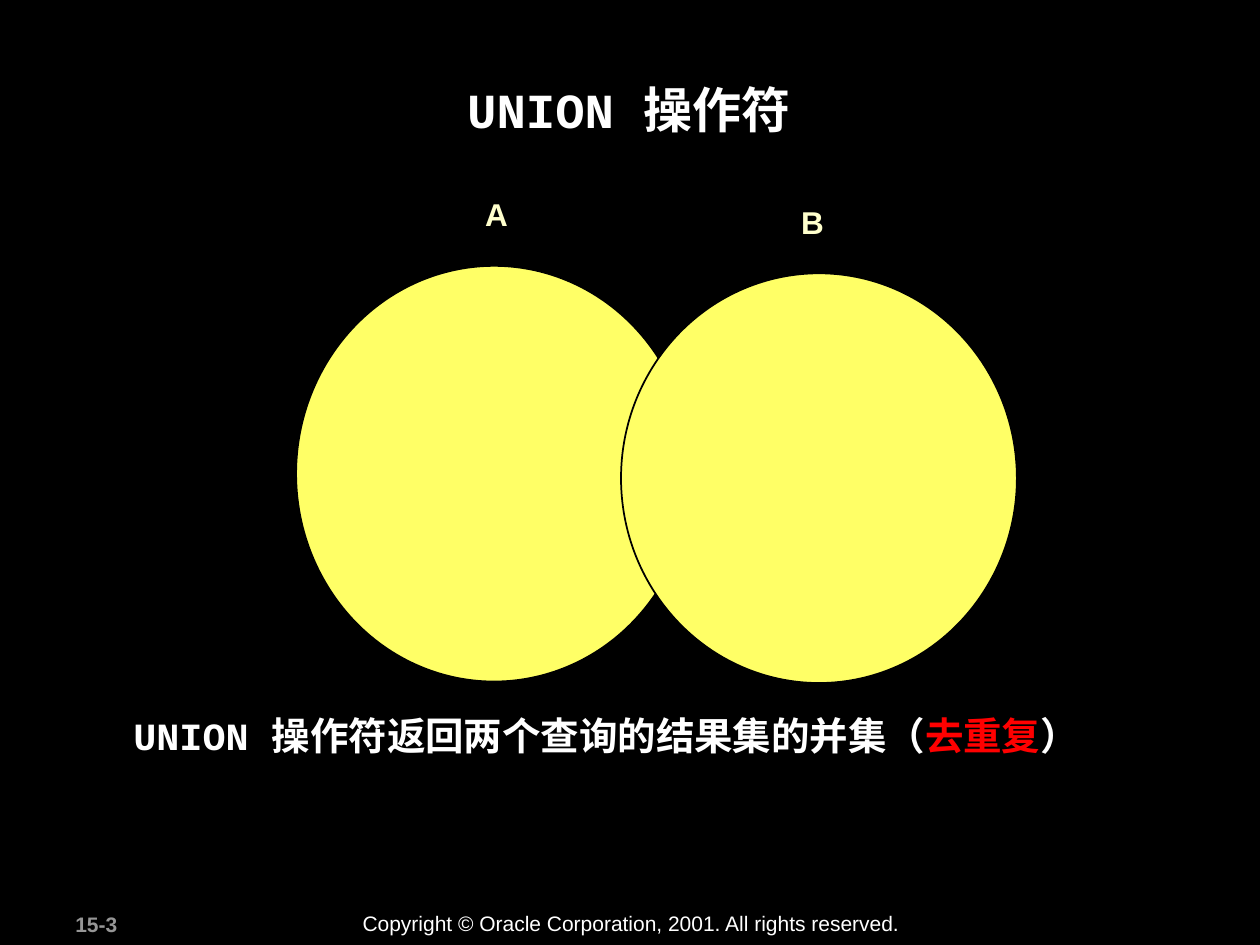
from typing import NamedTuple

from pptx import Presentation
from pptx import util as u
from pptx.dml import color
from pptx.enum import shapes, text

SANS, MONO = "Arial", "Courier New"
WHITE, RED, GREY, CREAM = "FFFFFF", "FF0000", "969696", "FFFFCC"
BLACK, YELLOW = "000000", "FFFF66"


class Box(NamedTuple):
    left: float
    top: float
    width: float
    height: float


class Run(NamedTuple):
    words: str
    face: str = SANS
    tint: str = WHITE


class Label(NamedTuple):
    box: Box
    size: int
    runs: list[Run]
    bold: bool = True
    wrap: bool = True
    align: text.PP_ALIGN = text.PP_ALIGN.LEFT
    pitch: float = 1.0


class Ring(NamedTuple):
    box: Box
    name: Label


def paint(fill, tint: str) -> None:
    fill.solid()
    fill.fore_color.rgb = color.RGBColor.from_string(tint)


def place(box: Box) -> list[u.Cm]:
    return [u.Cm(side) for side in box]


def apply(target, form: dict) -> None:
    for key, value in form.items():
        setattr(target, key, value)


def write(slide, label: Label) -> None:
    frame = slide.shapes.add_textbox(*place(label.box)).text_frame
    apply(frame, {"word_wrap": label.wrap, "vertical_anchor": text.MSO_ANCHOR.TOP})
    para = frame.paragraphs[0]
    apply(para, {"alignment": label.align, "line_spacing": label.pitch})
    for part in label.runs:
        run = para.add_run()
        run.text = part.words
        form = {"name": part.face, "size": u.Pt(label.size), "bold": label.bold}
        apply(run.font, form)
        paint(run.font.fill, part.tint)


def draw(slide, ring: Ring) -> None:
    oval = slide.shapes.add_shape(shapes.MSO_SHAPE.OVAL, *place(ring.box))
    oval.shadow.inherit = False
    paint(oval.fill, YELLOW)
    paint(oval.line.fill, BLACK)
    oval.line.width = u.Pt(1)
    write(slide, ring.name)


def tag(left: float, top: float, words: str) -> Label:
    return Label(Box(left, top, 0.97, 1.02), 18, [Run(words, tint=CREAM)], wrap=False)


LABELS = [
    Label(Box(1.27, 18.26, 2.67, 0.76), 12, [Run("15-3", tint=GREY)]),
    Label(
        Box(7.06, 18.24, 11.38, 0.76),
        12,
        [Run("Copyright © Oracle Corporation, 2001. All rights reserved.")],
        bold=False,
        wrap=False,
    ),
    Label(
        Box(2.39, 1.47, 20.57, 2.44),
        28,
        [Run("UNION ", MONO), Run("操作符")],
        align=text.PP_ALIGN.CENTER,
    ),
    Label(
        Box(2.44, 14.3, 20.52, 1.14),
        22,
        [
            Run("UNION ", MONO),
            Run("操作符返回两个查询的结果集的并集（"),
            Run("去重复", tint=RED),
            Run("）"),
        ],
        pitch=0.95,
    ),
]

RINGS = [
    Ring(Box(5.97, 5.36, 7.98, 8.38), tag(9.53, 3.81, "A")),
    Ring(Box(12.52, 5.51, 7.98, 8.26), tag(15.9, 3.96, "B")),
]


def main() -> None:
    deck = Presentation()
    apply(deck, {"slide_width": u.Cm(25.4), "slide_height": u.Cm(19.05)})
    slide = deck.slides.add_slide(deck.slide_layouts[6])
    paint(slide.background.fill, BLACK)
    for label in LABELS:
        write(slide, label)
    for ring in RINGS:
        draw(slide, ring)
    deck.save("out.pptx")


if __name__ == "__main__":
    main()
